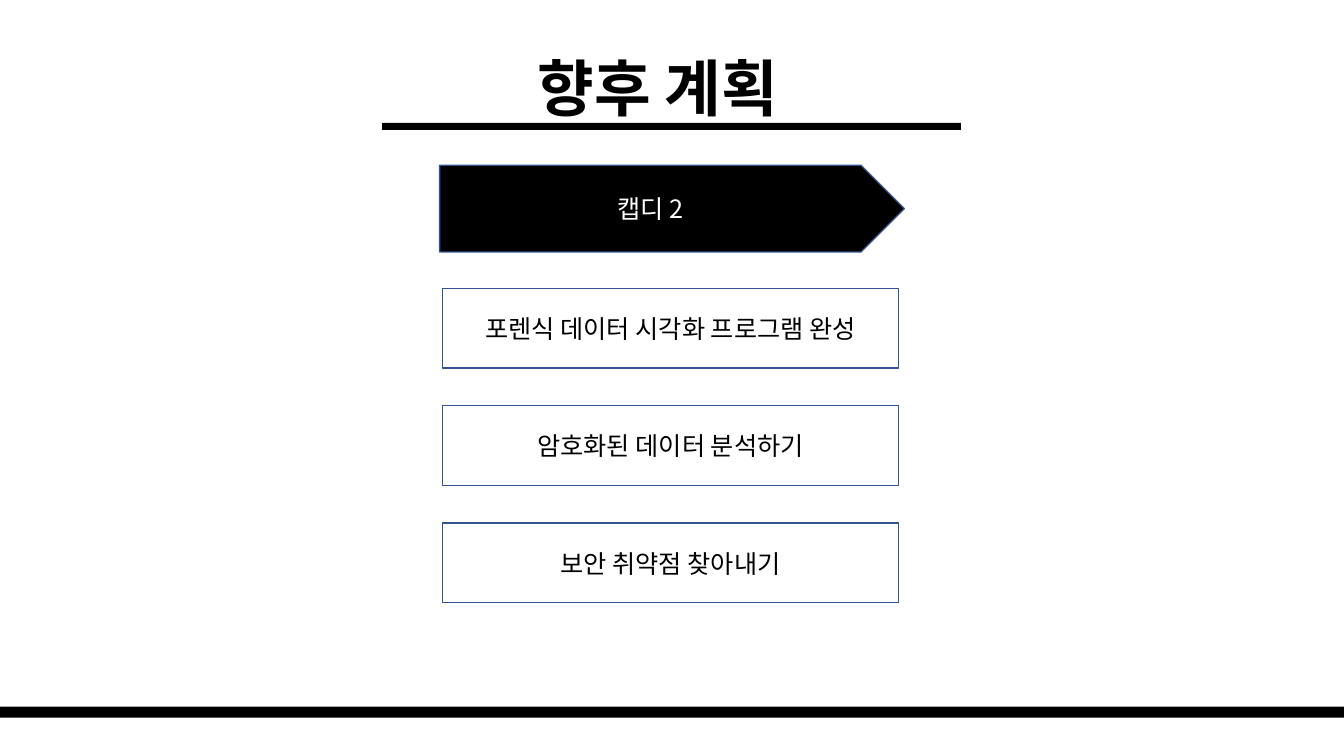
from dataclasses import dataclass

from lxml import etree
from pptx import Presentation
from pptx import util as u
from pptx.dml import color
from pptx.enum import shapes, text
from pptx.oxml import ns

FONT = "Noto Sans CJK KR"
BLACK, WHITE, BLUE = "000000", "FFFFFF", "325491"
RECT = shapes.MSO_SHAPE.RECTANGLE
ARROW = shapes.MSO_SHAPE.RIGHT_ARROW


@dataclass
class Box:
    left: float
    top: float
    width: float
    height: float
    fill: str = WHITE
    line: str = ""
    label: str = ""
    ink: str = BLACK
    kind: shapes.MSO_SHAPE = RECT
    adjust: tuple = ()


def rgb(code: str) -> color.RGBColor:
    return color.RGBColor.from_string(code)


def write(frame, words: str, size: int, ink: str, bold: bool = False) -> None:
    para = frame.paragraphs[0]
    para.alignment = text.PP_ALIGN.CENTER
    run = para.add_run()
    run.text = words
    font = run.font
    font.size, font.bold, font.name = u.Pt(size), bold, FONT
    font.color.rgb = rgb(ink)
    # Hangul takes the East Asian typeface
    east = etree.SubElement(run._r.get_or_add_rPr(), ns.qn("a:ea"))
    east.set("typeface", FONT)


def draw(slide, box: Box) -> None:
    place = map(u.Inches, (box.left, box.top, box.width, box.height))
    shape = slide.shapes.add_shape(box.kind, *place)
    shape.shadow.inherit = False
    for index, value in enumerate(box.adjust):
        shape.adjustments[index] = value
    shape.fill.solid()
    shape.fill.fore_color.rgb = rgb(box.fill)
    if box.line:
        shape.line.color.rgb = rgb(box.line)
        shape.line.width = u.Pt(1)
    else:
        shape.line.fill.background()
    if box.label:
        frame = shape.text_frame
        frame.vertical_anchor = text.MSO_ANCHOR.MIDDLE
        write(frame, box.label, 18, box.ink)


def title(slide, words: str) -> None:
    area = slide.shapes.add_textbox(
        u.Inches(5.08), u.Inches(0.45), u.Inches(2.89), u.Inches(0.84))
    frame = area.text_frame
    frame.word_wrap = False
    frame.auto_size = text.MSO_AUTO_SIZE.SHAPE_TO_FIT_TEXT
    write(frame, words, 44, BLACK, bold=True)


def main() -> None:
    deck = Presentation()
    deck.slide_width, deck.slide_height = u.Inches(13.33), u.Inches(7.5)
    slide = deck.slides.add_slide(deck.slide_layouts[6])

    # Title with its rule, and the footer bar
    draw(slide, Box(3.79, 1.22, 5.74, 0.07, BLACK))
    title(slide, "향후 계획")
    draw(slide, Box(0, 7.01, 13.33, 0.11, BLACK))

    # Course arrow
    draw(slide, Box(4.36, 1.64, 4.61, 0.86, BLACK, BLUE, "캡디 2", WHITE,
                    ARROW, (1, 0.5)))

    # Planned tasks, evenly stacked
    tasks = ("포렌식 데이터 시각화 프로그램 완성",
             "암호화된 데이터 분석하기",
             "보안 취약점 찾아내기")
    for row, task in enumerate(tasks):
        draw(slide, Box(4.39, 2.86 + row * 1.165, 4.52, 0.79, line=BLUE,
                        label=task))

    deck.save("out.pptx")


if __name__ == "__main__":
    main()
